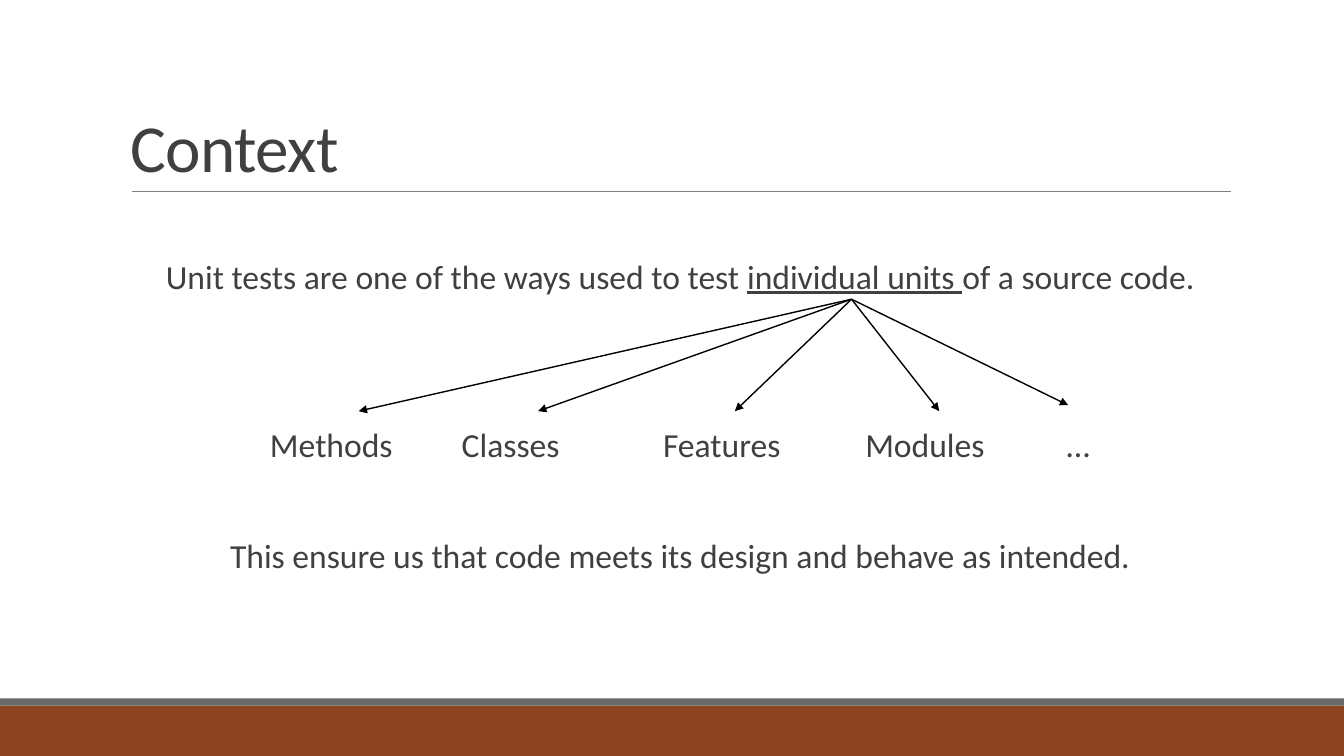
from pptx import Presentation
from pptx.dml.color import RGBColor
from pptx.enum import shapes, text
from pptx.oxml import ns
from pptx.util import Cm, Pt
from lxml import etree

COLORS = {"text": "404040", "rule": "808080", "arrow": "000000",
          "band": "8D4220", "stripe": "696969"}
WIDTH, HEIGHT = 33.87, 19.05
BODY_CENTER = 17.14
LINE_HEIGHT = 1.1
ARROW_START = (21.46, 7.54)
# Unit name, centre of its label, arrow tip
UNITS = [
    ("Methods", 8.35, (9.04, 10.36)),
    ("Classes", 12.87, (13.56, 10.36)),
    ("Features", 18.19, (18.52, 10.36)),
    ("Modules", 23.31, (23.67, 10.36)),
    ("…", 27.17, (26.92, 10.21)),
]


def color(name):
    return RGBColor.from_string(COLORS[name])


def add_bar(slide, top, height, fill):
    bar = slide.shapes.add_shape(shapes.MSO_SHAPE.RECTANGLE,
                                 0, Cm(top), Cm(WIDTH), Cm(height))
    bar.shadow.inherit = False
    bar.fill.solid()
    bar.fill.fore_color.rgb = color(fill)
    bar.line.fill.background()


def add_line(slide, start, end, line_color, width, arrow=False):
    line = slide.shapes.add_connector(shapes.MSO_CONNECTOR.STRAIGHT,
                                      *map(Cm, start + end))
    line.line.color.rgb = color(line_color)
    line.line.width = Pt(width)
    if arrow:
        etree.SubElement(line.line._get_or_add_ln(), ns.qn("a:tailEnd"), type="triangle")
    etree.SubElement(line._element.spPr, ns.qn("a:effectLst"))


def add_text_box(slide, left, top, width, height, size):
    """Add an empty wrapping text box and return its frame and paragraph."""
    frame = slide.shapes.add_textbox(Cm(left), Cm(top), Cm(width), Cm(height)).text_frame
    frame.word_wrap = True
    paragraph = frame.paragraphs[0]
    paragraph.font.name = "Calibri"
    paragraph.font.size = Pt(size)
    paragraph.font.color.rgb = color("text")
    return frame, paragraph


def add_title(slide, title):
    frame, paragraph = add_text_box(slide, 3.05, 0.79, 27.94, 4.04, 48)
    frame.vertical_anchor = text.MSO_ANCHOR.BOTTOM
    paragraph.line_spacing = 0.85
    run = paragraph.add_run()
    run.text = title
    run.font._element.set("spc", "-50")


def add_centered_line(slide, center, middle, width, *parts):
    """Add one line of text; every second part is underlined."""
    frame, paragraph = add_text_box(slide, center - width / 2, middle - LINE_HEIGHT / 2,
                                    width, LINE_HEIGHT, 24)
    frame.margin_left = frame.margin_right = frame.margin_top = frame.margin_bottom = 0
    frame.vertical_anchor = text.MSO_ANCHOR.MIDDLE
    paragraph.alignment = text.PP_ALIGN.CENTER
    for index, part in enumerate(parts):
        run = paragraph.add_run()
        run.text = part
        if index % 2:
            run.font.underline = True


def main():
    presentation = Presentation()
    presentation.slide_width = Cm(WIDTH)
    presentation.slide_height = Cm(HEIGHT)
    slide = presentation.slides.add_slide(presentation.slide_layouts[6])

    add_bar(slide, 17.78, 1.27, "band")
    add_bar(slide, 17.6, 0.18, "stripe")
    add_line(slide, (3.33, 4.83), (31.01, 4.83), "rule", 0.5)
    add_title(slide, "Context")

    add_centered_line(slide, BODY_CENTER, 6.95, 27.94,
                      "Unit tests are one of the ways used to test ",
                      "individual units ", "of a source code.")
    for name, center, tip in UNITS:
        add_centered_line(slide, center, 11.19, 3.8, name)
        add_line(slide, ARROW_START, tip, "arrow", 1, arrow=True)
    add_centered_line(slide, BODY_CENTER, 13.99, 27.94,
                      "This ensure us that code meets its design and behave as intended.")

    presentation.save("out.pptx")


if __name__ == "__main__":
    main()
